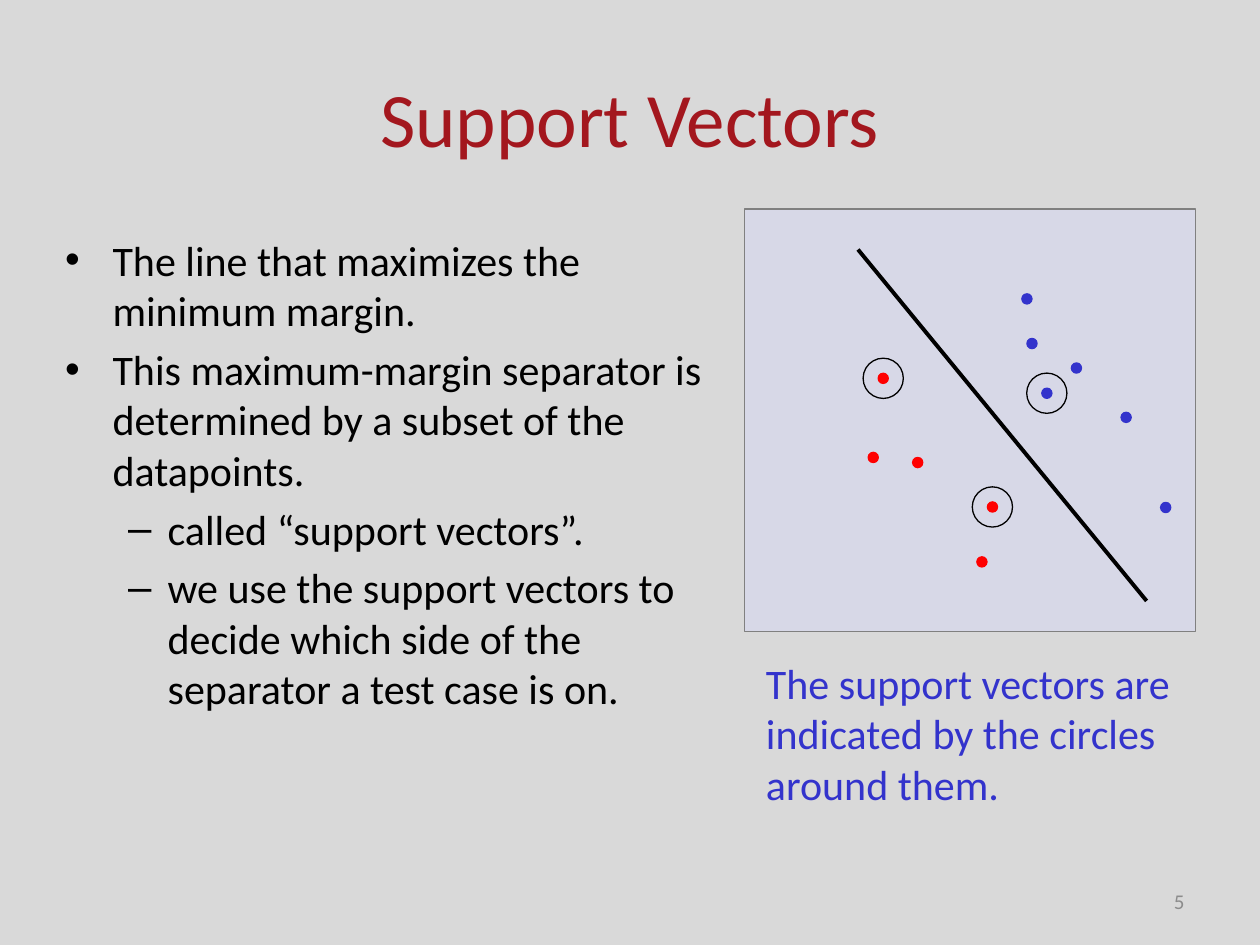
"""Build a slide that explains support vectors with a scatter sketch."""
from lxml import etree
from pptx import Presentation
from pptx.dml.color import RGBColor
from pptx.enum.shapes import MSO_CONNECTOR, MSO_SHAPE
from pptx.enum.text import MSO_ANCHOR, PP_ALIGN
from pptx.oxml.ns import qn
from pptx.util import Pt

RECT, OVAL = MSO_SHAPE.RECTANGLE, MSO_SHAPE.OVAL
LINE = MSO_CONNECTOR.STRAIGHT
TOP, MID = MSO_ANCHOR.TOP, MSO_ANCHOR.MIDDLE
LEFT, CENTER, RIGHT = PP_ALIGN.LEFT, PP_ALIGN.CENTER, PP_ALIGN.RIGHT

THEME = {
    "font": "Calibri", "title": 44, "body": 24, "small": 12,
    "back": "D9D9D9", "head": "A3171E", "ink": "000000", "gray": "8C8C8C",
    "panel": "D7D8E7", "edge": "808080", "red": "FF0000", "blue": "3333CC",
}


def color(name):
    return RGBColor.from_string(THEME[name])


def add_mark(kind, box, fill, edge):
    mark = slide.shapes.add_shape(kind, *map(Pt, box))
    mark.shadow.inherit = False
    if fill:
        mark.fill.solid()
        mark.fill.fore_color.rgb = color(fill)
    else:
        mark.fill.background()
    mark.line.color.rgb = color(edge)
    mark.line.width = Pt(0.75)


deck = Presentation()
deck.slide_width, deck.slide_height = Pt(720), Pt(540)
slide = deck.slides.add_slide(deck.slide_layouts[6])
slide.background.fill.solid()
slide.background.fill.fore_color.rgb = color("back")

add_mark(RECT, (425.5, 119.5, 257.8, 241.2), "panel", "edge")

border = slide.shapes.add_connector(LINE, Pt(490.3), Pt(142.6), Pt(655.2), Pt(343.4))
border.line.color.rgb = color("ink")
border.line.width = Pt(2.25)
etree.SubElement(border._element.spPr, qn("a:effectLst"))

DOT, RING = 5.8, 23
points = [
    ("red", 504.7, 216.2, True),
    ("red", 499, 261.4, False),
    ("red", 524.4, 264.3, False),
    ("red", 567.1, 289.7, True),
    ("red", 561.1, 321.1, False),
    ("blue", 586.8, 170.8, False),
    ("blue", 589.7, 196.3, False),
    ("blue", 615.1, 210.3, False),
    ("blue", 598.2, 224.7, True),
    ("blue", 643.5, 238.5, False),
    ("blue", 666.1, 290, False),
]
for hue, x, y, support in points:
    add_mark(OVAL, (x - DOT / 2, y - DOT / 2, DOT, DOT), hue, hue)
    if support:
        add_mark(OVAL, (x - RING / 2, y - RING / 2, RING, RING), None, "ink")

BULLETS = [("•", 27, -27), ("–", 58.5, -22.5)]
texts = [
    ((36, 21.6, 648, 90), MID, CENTER, "title", "head", [("Support Vectors", None)]),
    ((30.2, 130.3, 380.2, 349.2), TOP, LEFT, "body", "ink", [
        ("The line that maximizes the minimum margin.", 0),
        ("This maximum-margin separator is determined by a subset of the datapoints.", 0),
        ("called “support vectors”.", 1),
        ("we use the support vectors to decide which side of the separator "
         "a test case is on.", 1),
    ]),
    ((430.6, 372.2, 252.7, 93.6), TOP, LEFT, "body", "blue", [
        ("The support vectors are indicated by the circles around them.", None),
    ]),
    ((516.2, 500.4, 167.8, 28.8), MID, RIGHT, "small", "gray", [("5", None)]),
]
for box, anchor, align, size, hue, lines in texts:
    frame = slide.shapes.add_textbox(*map(Pt, box)).text_frame
    frame.word_wrap = True
    frame.vertical_anchor = anchor
    for i, (words, level) in enumerate(lines):
        para = frame.add_paragraph() if i else frame.paragraphs[0]
        para.alignment = align
        if level is not None:
            sign, margin, indent = BULLETS[level]
            para.level = level
            para.space_before = Pt(4.8)
            props = para._p.get_or_add_pPr()
            props.set("marL", str(Pt(margin)))
            props.set("indent", str(Pt(indent)))
            etree.SubElement(props, qn("a:buFont"), typeface="Arial")
            etree.SubElement(props, qn("a:buChar"), char=sign)
        run = para.add_run()
        run.text = words
        run.font.name = THEME["font"]
        run.font.size = Pt(THEME[size])
        run.font.color.rgb = color(hue)

deck.save("out.pptx")
